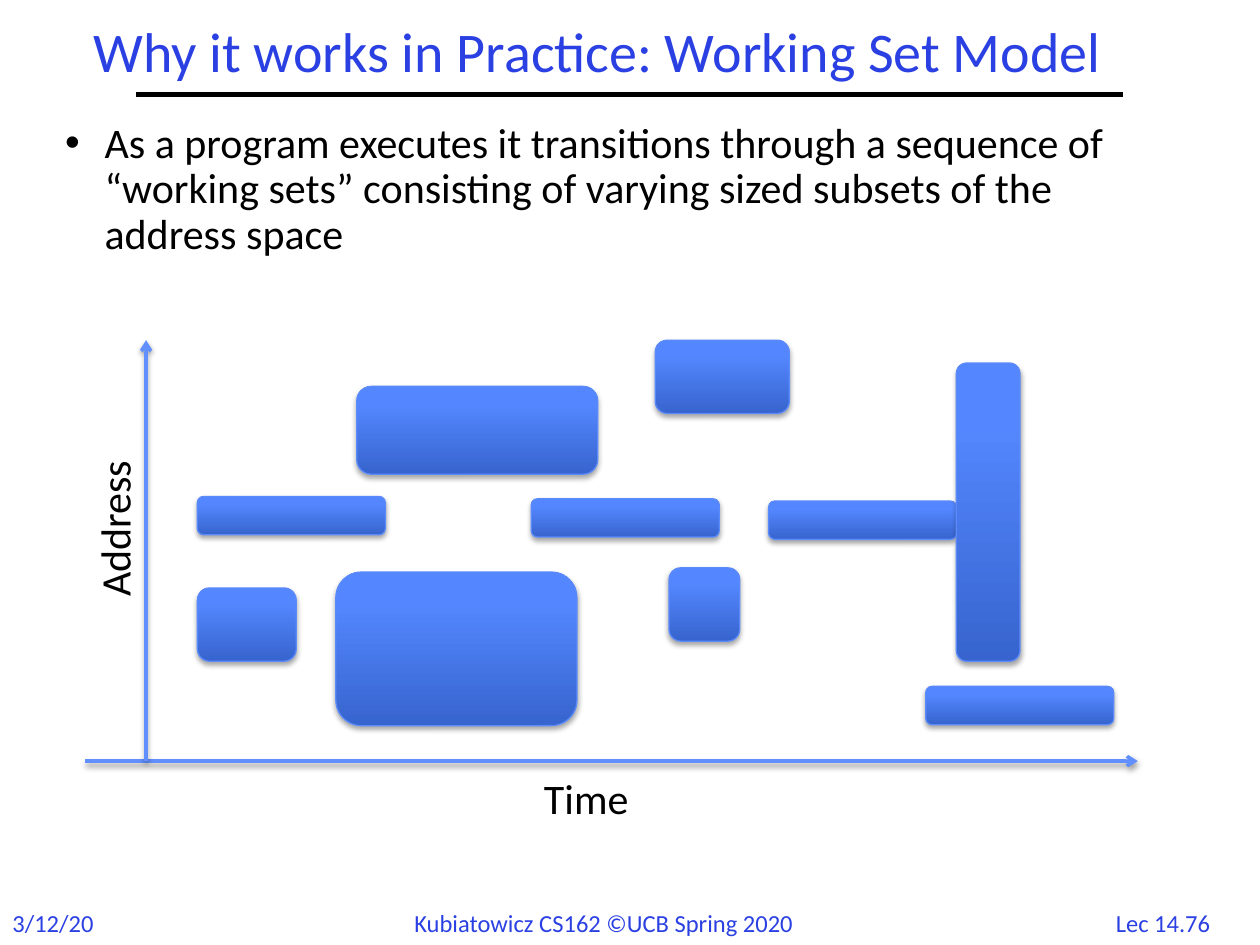
"""Build the slide on the working set model with its address-over-time diagram."""
from copy import deepcopy
from typing import NamedTuple

from lxml import etree
from pptx import Presentation
from pptx.dml.color import RGBColor
from pptx.enum.shapes import MSO_CONNECTOR, MSO_SHAPE
from pptx.enum.text import MSO_ANCHOR, PP_ALIGN
from pptx.oxml.ns import qn
from pptx.util import Pt

STRAIGHT = MSO_CONNECTOR.STRAIGHT
ROUNDED = MSO_SHAPE.ROUNDED_RECTANGLE
MIDDLE = MSO_ANCHOR.MIDDLE
LEFT, CENTER = PP_ALIGN.LEFT, PP_ALIGN.CENTER

FONT = "Calibri"
BLACK = RGBColor(0x00, 0x00, 0x00)
TITLE_BLUE = RGBColor(0x2A, 0x40, 0xE2)
AXIS_BLUE = RGBColor(0x61, 0x8F, 0xFD)
EDGE_BLUE = RGBColor(0x5B, 0x8A, 0xFB)
DARK_BLUE = RGBColor(0x37, 0x64, 0xCE)
MID_BLUE = RGBColor(0x54, 0x87, 0xFF)
LIGHT_BLUE = RGBColor(0x56, 0x88, 0xFF)
GRADIENT = ((0, DARK_BLUE), (0.8, MID_BLUE), (1, LIGHT_BLUE))

AXIS_Y = 434.9
AXIS_X = 83.5
BAR_WIDTH, BAR_HEIGHT = 107.5, 21.9
BLOCK_HEIGHT = 41.9
WIDE_WIDTH = 137.8


class Label(NamedTuple):
    text: str
    left: float
    top: float
    width: float
    height: float
    size: float
    color: RGBColor
    align: PP_ALIGN = LEFT
    rotation: float = 0
    wrap: bool = False


class Line(NamedTuple):
    start: tuple[float, float]
    end: tuple[float, float]
    color: RGBColor
    width: float
    is_axis: bool = True


class WorkingSet(NamedTuple):
    left: float
    top: float
    width: float = BAR_WIDTH
    height: float = BAR_HEIGHT


BODY = Label(
    "As a program executes it transitions through a sequence of “working sets” "
    "consisting of varying sized subsets of the address space",
    30.2, 66.2, 648, 128.9, 24, BLACK, wrap=True,
)
LABELS = (
    Label("Lec 14.76", 625.7, 515.5, 77.8, 24, 14, TITLE_BLUE, CENTER),
    Label("3/12/20", 0, 515.5, 61.2, 24, 14, TITLE_BLUE),
    Label("Kubiatowicz CS162 ©UCB Spring 2020", 229.7, 515.5, 261.4, 24, 14, TITLE_BLUE),
    Label("Time", 303.8, 437.8, 64.8, 36, 24, BLACK),
    Label("Address", 18, 283, 94.3, 36, 24, BLACK, rotation=270),
)
LINES = (
    Line((78, 54), (642, 54), BLACK, 3, is_axis=False),
    Line((48.7, AXIS_Y), (650.2, AXIS_Y), AXIS_BLUE, 2),
    Line((AXIS_X, AXIS_Y), (AXIS_X, 194.4), AXIS_BLUE, 2),
)
WORKING_SETS = (
    WorkingSet(112.8, 336, 56.5, BLOCK_HEIGHT),
    WorkingSet(112.8, 283.7),
    WorkingSet(191.9, 326.9, WIDE_WIDTH, 87.8),
    WorkingSet(203.8, 220.8, WIDE_WIDTH, 50.2),
    WorkingSet(303.6, 285),
    WorkingSet(382.3, 324.5, 40.4, BLOCK_HEIGHT),
    WorkingSet(374.4, 194.4, 76.7, BLOCK_HEIGHT),
    WorkingSet(439.2, 286.3),
    WorkingSet(546.5, 207.4, 36.4, 170.5),
    WorkingSet(529, 392.2),
)


def format_text(shape, text: str, size: float, color: RGBColor, align: PP_ALIGN):
    """Fill a shape with one paragraph of styled text and return the paragraph."""
    shape.text_frame.text = text
    paragraph = shape.text_frame.paragraphs[0]
    paragraph.alignment = align
    for run in paragraph.runs:
        run.font.name = FONT
        run.font.size = Pt(size)
        run.font.color.rgb = color
    return paragraph


def add_label(slide, label: Label):
    """Draw a text box and return its paragraph."""
    box = slide.shapes.add_textbox(
        Pt(label.left), Pt(label.top), Pt(label.width), Pt(label.height)
    )
    box.rotation = label.rotation
    box.text_frame.word_wrap = label.wrap
    return format_text(box, label.text, label.size, label.color, label.align)


def add_bullet(paragraph, indent: float) -> None:
    """Give a paragraph a round bullet with a hanging indent."""
    properties = paragraph._p.get_or_add_pPr()
    properties.set("marL", str(Pt(indent)))
    properties.set("indent", str(-Pt(indent)))
    etree.SubElement(properties, qn("a:buFont"), typeface="Arial")
    etree.SubElement(properties, qn("a:buChar"), char="•")


def add_shadow(effects, distance: float, opacity: int) -> None:
    """Add a soft black shadow below a shape."""
    shadow = etree.SubElement(
        effects, qn("a:outerShdw"), blurRad=str(Pt(3.1)), dist=str(Pt(distance)),
        dir="5400000", rotWithShape="0",
    )
    color = etree.SubElement(shadow, qn("a:srgbClr"), val=str(BLACK))
    etree.SubElement(color, qn("a:alpha"), val=str(opacity * 1000))


def add_line(slide, line: Line) -> None:
    """Draw a straight line, with arrowhead and shadow for an axis."""
    connector = slide.shapes.add_connector(
        STRAIGHT, *(Pt(value) for value in line.start + line.end)
    )
    connector.line.color.rgb = line.color
    connector.line.width = Pt(line.width)
    effects = etree.SubElement(connector._element.spPr, qn("a:effectLst"))
    if line.is_axis:
        etree.SubElement(connector.line._get_or_add_ln(), qn("a:tailEnd"), type="arrow")
        add_shadow(effects, 1.6, 38)


def add_working_set(slide, working_set: WorkingSet) -> None:
    """Draw a shaded rounded block."""
    shape = slide.shapes.add_shape(ROUNDED, *(Pt(value) for value in working_set))
    shape.fill.gradient()
    shape.fill.gradient_angle = 90
    stop_list = shape._element.spPr.find(".//" + qn("a:gsLst"))
    stop_list.append(deepcopy(stop_list[0]))
    for stop, (position, color) in zip(shape.fill.gradient_stops, GRADIENT):
        stop.position = position
        stop.color.rgb = color
    shape.line.color.rgb = EDGE_BLUE
    shape.line.width = Pt(0.75)
    shape.shadow.inherit = False
    add_shadow(shape._element.spPr.find(qn("a:effectLst")), 1.8, 35)


def add_title(slide) -> None:
    """Place and format the title placeholder."""
    title = slide.shapes.title
    title.left, title.top, title.width, title.height = Pt(-6.5), Pt(10), Pt(696), Pt(42)
    paragraph = format_text(
        title, "Why it works in Practice: Working Set Model", 32, TITLE_BLUE, CENTER
    )
    paragraph.line_spacing = 0.9
    title.text_frame.vertical_anchor = MIDDLE


def main() -> None:
    """Build and save the presentation."""
    presentation = Presentation()
    presentation.slide_width, presentation.slide_height = Pt(720), Pt(540)
    slide = presentation.slides.add_slide(presentation.slide_layouts[5])
    add_title(slide)
    body = add_label(slide, BODY)
    body.line_spacing = 0.9
    add_bullet(body, 22.5)
    for line in LINES:
        add_line(slide, line)
    for label in LABELS:
        add_label(slide, label)
    for working_set in WORKING_SETS:
        add_working_set(slide, working_set)
    presentation.save("out.pptx")


if __name__ == "__main__":
    main()
